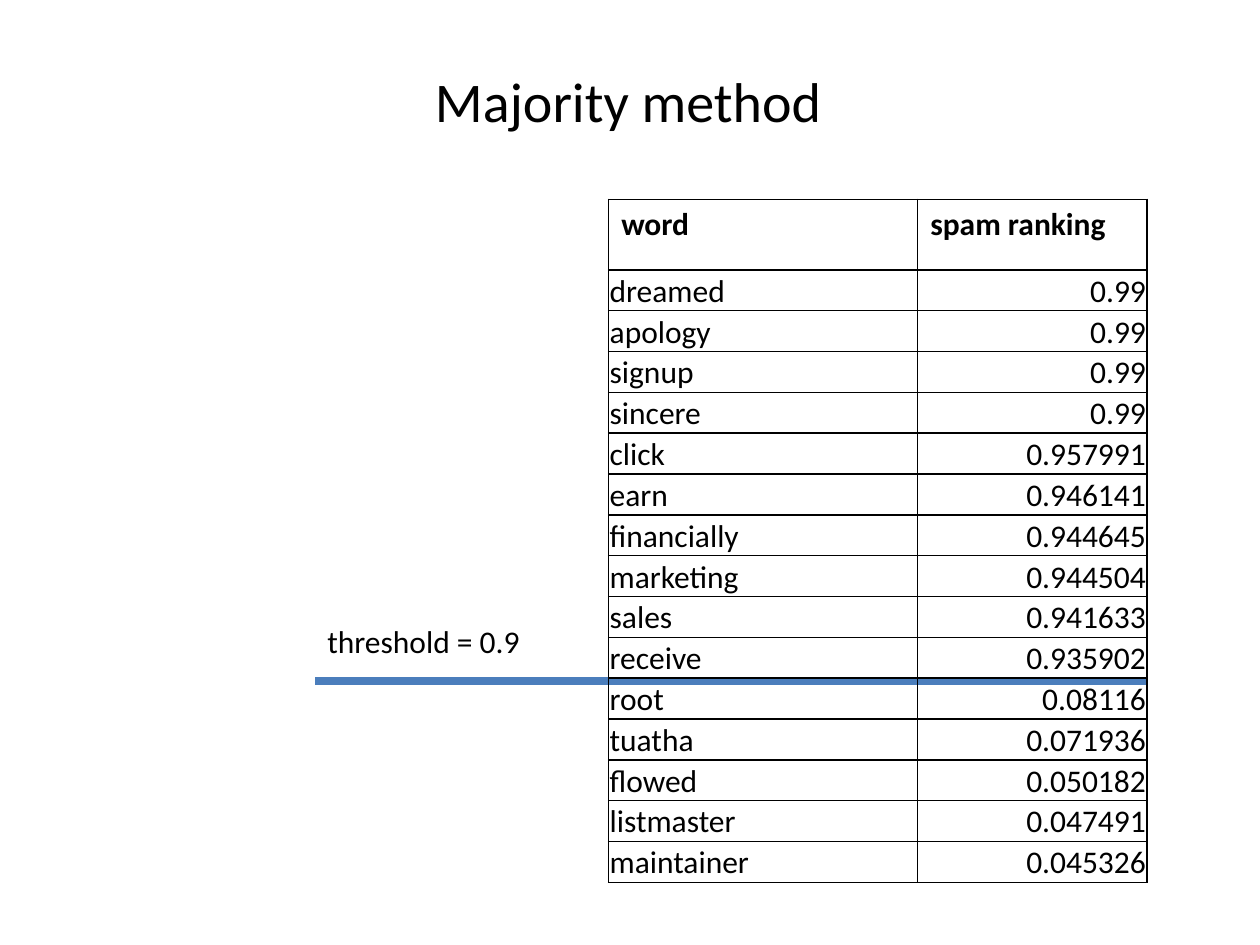
"""Build the slide on the majority method with its table of ranked words."""
from lxml.etree import SubElement
from pptx import Presentation
from pptx.dml.color import RGBColor
from pptx.enum.shapes import MSO_CONNECTOR
from pptx.enum.text import MSO_ANCHOR, MSO_AUTO_SIZE, PP_ALIGN
from pptx.oxml.ns import qn
from pptx.util import Cm, Pt

TITLE = "Majority method"
THRESHOLD = "threshold = 0.9"
HEADINGS = ("word", "spam ranking")
RANKINGS = [
    ("dreamed", "0.99"),
    ("apology", "0.99"),
    ("signup", "0.99"),
    ("sincere", "0.99"),
    ("click", "0.957991"),
    ("earn", "0.946141"),
    ("financially", "0.944645"),
    ("marketing", "0.944504"),
    ("sales", "0.941633"),
    ("receive", "0.935902"),
    ("root", "0.08116"),
    ("tuatha", "0.071936"),
    ("flowed", "0.050182"),
    ("listmaster", "0.047491"),
    ("maintainer", "0.045326"),
]
ALIGNMENTS = (PP_ALIGN.LEFT, PP_ALIGN.RIGHT)

FONT = "Calibri"
BLACK = RGBColor(0x00, 0x00, 0x00)
BLUE = RGBColor(0x4B, 0x7E, 0xBC)

TABLE_LEFT, TABLE_TOP = Cm(12.27), Cm(4.02)
TABLE_HEIGHT, HEADER_HEIGHT = Cm(13.77), Cm(1.42)
COLUMN_WIDTHS = (Cm(6.23), Cm(4.62))
TABLE_WIDTH = sum(COLUMN_WIDTHS)
ROW_HEIGHT = (TABLE_HEIGHT - HEADER_HEIGHT) // len(RANKINGS)
THRESHOLD_LEFT, THRESHOLD_Y = Cm(6.35), Cm(13.72)


def format_paragraph(paragraph, size=18, bold=False, alignment=PP_ALIGN.LEFT):
    paragraph.alignment = alignment
    paragraph.font.name = FONT
    paragraph.font.size = Pt(size)
    paragraph.font.bold = bold
    paragraph.font.color.rgb = BLACK


def add_borders(cell):
    properties = cell._tc.get_or_add_tcPr()
    for position, side in enumerate(("a:lnL", "a:lnR", "a:lnT", "a:lnB")):
        border = SubElement(properties, qn(side), w=str(Pt(1)))
        fill = SubElement(border, qn("a:solidFill"))
        SubElement(fill, qn("a:srgbClr"), val=str(BLACK))
        properties.insert(position, border)


def add_threshold(slide):
    line = slide.shapes.add_connector(
        MSO_CONNECTOR.STRAIGHT, TABLE_LEFT + TABLE_WIDTH, THRESHOLD_Y,
        THRESHOLD_LEFT, THRESHOLD_Y)
    line.line.color.rgb = BLUE
    line.line.width = Pt(4.5)
    SubElement(line._element.spPr, qn("a:effectLst"))

    label = slide.shapes.add_textbox(THRESHOLD_LEFT, Cm(12.42), Cm(4.45), Cm(1.02))
    label.text_frame.word_wrap = False
    label.text_frame.auto_size = MSO_AUTO_SIZE.SHAPE_TO_FIT_TEXT
    label.text_frame.text = THRESHOLD
    format_paragraph(label.text_frame.paragraphs[0])


def add_ranking_table(slide):
    rows = [HEADINGS, *RANKINGS]
    table = slide.shapes.add_table(
        len(rows), len(HEADINGS), TABLE_LEFT, TABLE_TOP,
        TABLE_WIDTH, TABLE_HEIGHT).table
    table.first_row = False
    table.horz_banding = False
    for column, width in zip(table.columns, COLUMN_WIDTHS):
        column.width = width
    for row_index, values in enumerate(rows):
        is_header = row_index == 0
        table.rows[row_index].height = HEADER_HEIGHT if is_header else ROW_HEIGHT
        for column_index, value in enumerate(values):
            cell = table.cell(row_index, column_index)
            cell.text = value
            cell.fill.background()
            add_borders(cell)
            paragraph = cell.text_frame.paragraphs[0]
            if is_header:
                format_paragraph(paragraph, bold=True)
            else:
                format_paragraph(paragraph, alignment=ALIGNMENTS[column_index])
                cell.vertical_anchor = MSO_ANCHOR.BOTTOM
                cell.margin_left = cell.margin_right = cell.margin_top = Cm(0.02)
                cell.margin_bottom = 0


presentation = Presentation()
presentation.slide_width, presentation.slide_height = Cm(25.4), Cm(19.05)
slide = presentation.slides.add_slide(presentation.slide_layouts[5])

title = slide.shapes.title
title.left, title.top, title.width, title.height = Cm(1.07), Cm(0.43), Cm(23.19), Cm(3.18)
title.text_frame.text = TITLE
title.text_frame.vertical_anchor = MSO_ANCHOR.MIDDLE
format_paragraph(title.text_frame.paragraphs[0], size=32, alignment=PP_ALIGN.CENTER)

add_threshold(slide)
add_ranking_table(slide)
presentation.save("out.pptx")
